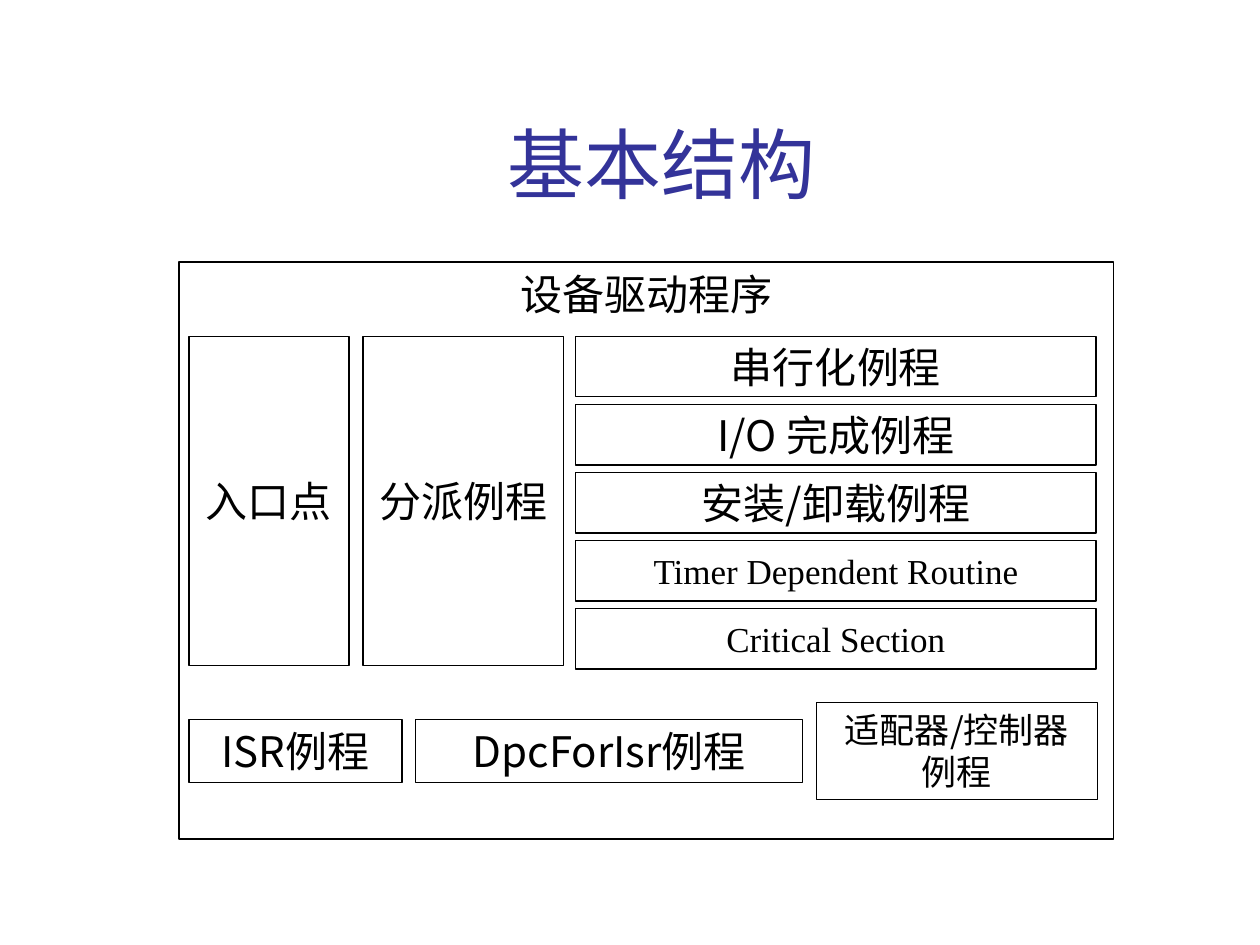
from pptx import Presentation
from pptx.dml.color import RGBColor
from pptx.enum.shapes import MSO_SHAPE
from pptx.enum.text import MSO_ANCHOR, PP_ALIGN
from pptx.util import Inches, Pt
from lxml.etree import SubElement
from pptx.oxml.ns import qn

THEME = {
    "title": RGBColor(0x33, 0x33, 0x99),
    "ink": RGBColor(0, 0, 0),
    "paper": RGBColor(255, 255, 255),
    "serif": "Times New Roman",
    "sans": "Noto Sans CJK SC",
    "title_size": 44,
    "large": 24,
    "small": 20,
    "line": 0.75,
}

TITLE = "基本结构"
DRIVER = ("设备驱动程序", "serif", "large")
COLUMNS = [
    (("入口点", "serif", "large"), 1.5, 1.27),
    (("分派例程", "serif", "large"), 2.88, 1.59),
]
ROUTINES = [
    ("串行化例程", "serif", "large"),
    ("I/O 完成例程", "sans", "large"),
    ("安装/卸载例程", "sans", "large"),
    ("Timer Dependent Routine", "serif", "small"),
    ("Critical Section", "serif", "small"),
]
BOTTOM_ROW = [
    (("ISR例程", "sans", "large"), 1.5, 1.69, 0.5),
    (("DpcForIsr例程", "sans", "large"), 3.3, 3.07, 0.5),
    (("适配器/控制器例程", "sans", "small"), 6.48, 2.23, 0.77),
]

DRIVER_BOX = (1.42, 2.08, 7.42, 4.58)
TOP = 2.67
COLUMN_HEIGHT = 2.61
ROUTINE_LEFT, ROUTINE_WIDTH, ROUTINE_HEIGHT = 4.57, 4.13, 0.48
ROUTINE_PITCH = 0.54
BOTTOM_MIDDLE = 5.96


def write_text(shape, text, font, size, color, anchor):
    frame = shape.text_frame
    frame.text = text
    frame.word_wrap = True
    frame.vertical_anchor = anchor
    paragraph = frame.paragraphs[0]
    paragraph.alignment = PP_ALIGN.CENTER
    run = paragraph.runs[0]
    run.font.size = Pt(THEME[size])
    run.font.color.rgb = THEME[color]
    run.font.name = THEME[font]
    SubElement(run.font._element, qn("a:ea")).set("typeface", THEME["sans"])


def add_box(group, label, box, anchor=MSO_ANCHOR.MIDDLE):
    shape = group.shapes.add_shape(MSO_SHAPE.RECTANGLE, *map(Inches, box))
    shape.shadow.inherit = False
    shape.fill.solid()
    shape.fill.fore_color.rgb = THEME["paper"]
    shape.line.color.rgb = THEME["ink"]
    shape.line.width = Pt(THEME["line"])
    write_text(shape, *label, "ink", anchor)


def main():
    presentation = Presentation()
    presentation.slide_width, presentation.slide_height = Inches(10), Inches(7.5)
    slide = presentation.slides.add_slide(presentation.slide_layouts[5])

    title = slide.shapes.title
    title.left, title.top = Inches(1), Inches(0.67)
    title.width, title.height = Inches(8.5), Inches(1.25)
    write_text(title, TITLE, "serif", "title_size", "title", MSO_ANCHOR.MIDDLE)

    group = slide.shapes.add_group_shape()
    add_box(group, DRIVER, DRIVER_BOX, MSO_ANCHOR.TOP)
    for label, left, width in COLUMNS:
        add_box(group, label, (left, TOP, width, COLUMN_HEIGHT))
    for index, label in enumerate(ROUTINES):
        top = TOP + index * ROUTINE_PITCH
        add_box(group, label, (ROUTINE_LEFT, top, ROUTINE_WIDTH, ROUTINE_HEIGHT))
    for label, left, width, height in BOTTOM_ROW:
        add_box(group, label, (left, BOTTOM_MIDDLE - height / 2, width, height))

    presentation.save("out.pptx")


if __name__ == "__main__":
    main()
